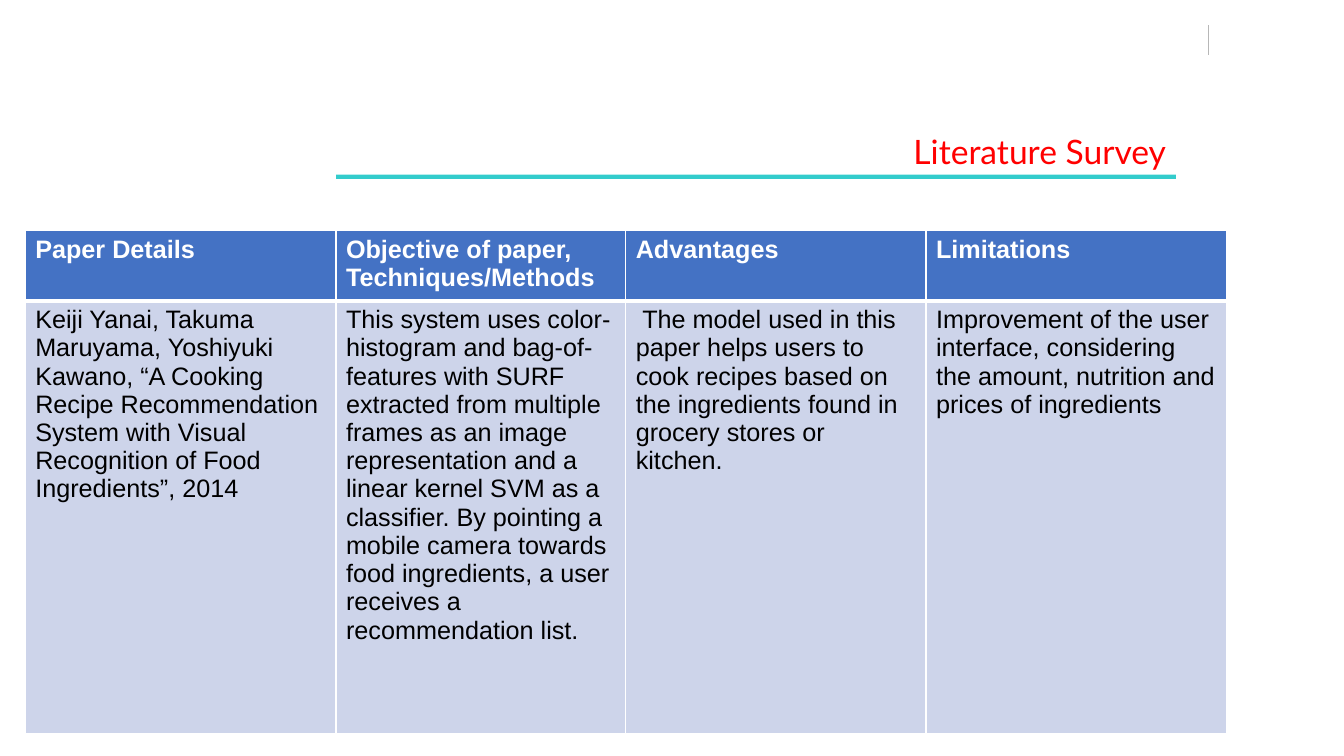
import pptx
import pptx.util
import pptx.dml.color
import pptx.enum.shapes
import pptx.enum.text
import pptx.oxml
import pptx.oxml.ns

RGBColor = pptx.dml.color.RGBColor
WHITE = RGBColor(0xFF, 0xFF, 0xFF)
BLACK = RGBColor(0x00, 0x00, 0x00)
RED = RGBColor(0xFF, 0x00, 0x00)
TEAL = RGBColor(0x33, 0xCC, 0xCC)
GREY = RGBColor(0xB7, 0xB7, 0xB7)
BLUE = RGBColor(0x44, 0x72, 0xC4)
PALE_BLUE = RGBColor(0xCD, 0xD4, 0xEA)

# The slide is a grid of 160 columns by 90 rows of square units.
COLUMNS, ROWS = 160, 90
UNIT = pptx.util.Inches(7.5) / ROWS

TITLE_FONT = {"name": "Lato", "size": pptx.util.Pt(24), "bold": False}
HEADER_FONT = {"name": "Arial", "size": pptx.util.Pt(18), "bold": True}
BODY_FONT = {**HEADER_FONT, "bold": False}

COLUMN_WIDTHS = (37, 34.5, 35.75, 35.75)
ROW_HEIGHTS = (8.4, 51.5)
SURVEY = (
    ("Paper Details", "Objective of paper, Techniques/Methods",
     "Advantages", "Limitations"),
    ("Keiji Yanai, Takuma Maruyama, Yoshiyuki Kawano, “A Cooking Recipe "
     "Recommendation System with Visual Recognition of Food Ingredients”, 2014",
     "This system uses color-histogram and bag-of-features with SURF extracted "
     "from multiple frames as an image representation and a linear kernel SVM "
     "as a classifier. By pointing a mobile camera towards food ingredients, "
     "a user receives a recommendation list.",
     " The model used in this paper helps users to cook recipes based on the "
     "ingredients found in grocery stores or kitchen.",
     "Improvement of the user interface, considering the amount, nutrition "
     "and prices of ingredients"),
)


def units(*counts):
    return [pptx.util.Emu(round(n * UNIT)) for n in counts]


def format_run(r, values, color):
    for name, value in values.items():
        setattr(r.font, name, value)
    r.font.color.rgb = color


def set_borders(cell, widths):
    """Draw white cell borders; widths maps L, R, T and B to points."""
    tcPr = cell._tc.get_or_add_tcPr()
    for i, (side, width) in enumerate(widths.items()):
        tcPr.insert(i, pptx.oxml.parse_xml(
            f'<a:ln{side} {pptx.oxml.ns.nsdecls("a")} w="{pptx.util.Pt(width)}">'
            f'<a:solidFill><a:srgbClr val="{WHITE}"/></a:solidFill></a:ln{side}>'))


def add_corner_mark(s, x, y, height):
    line = s.shapes.add_connector(
        pptx.enum.shapes.MSO_CONNECTOR.STRAIGHT, *units(x, y, x, y + height))
    line.line.color.rgb = GREY
    line.line.width = pptx.util.Pt(0.75)
    line._element.spPr.append(
        pptx.oxml.parse_xml(f'<a:effectLst {pptx.oxml.ns.nsdecls("a")}/>'))


def add_heading(s, x, y, width, height):
    """Place the title at the right of the box, above a full-width rule."""
    rule = s.shapes.add_shape(
        pptx.enum.shapes.MSO_SHAPE.RECTANGLE,
        *units(x, y + height - 0.2, width, 0.5))
    rule.shadow.inherit = False
    rule.fill.solid()
    rule.fill.fore_color.rgb = TEAL
    rule.line.fill.background()

    title = s.shapes.title
    inset = 0.15 * width
    title.left, title.top, title.width, title.height = units(
        x + inset, y, width - inset, height)
    tf = title.text_frame
    tf.auto_size = pptx.enum.text.MSO_AUTO_SIZE.NONE
    tf.vertical_anchor = pptx.enum.text.MSO_ANCHOR.MIDDLE
    p = tf.paragraphs[0]
    p.alignment = pptx.enum.text.PP_ALIGN.RIGHT
    r = p.add_run()
    r.text = "Literature Survey"
    format_run(r, TITLE_FONT, RED)


def add_survey_table(s, x, y):
    table = s.shapes.add_table(
        len(SURVEY), len(COLUMN_WIDTHS),
        *units(x, y, sum(COLUMN_WIDTHS), sum(ROW_HEIGHTS))).table
    table.horz_banding = False
    for column, width in zip(table.columns, units(*COLUMN_WIDTHS)):
        column.width = width
    for row, height in zip(table.rows, units(*ROW_HEIGHTS)):
        row.height = height

    styles = ((HEADER_FONT, WHITE, BLUE, 1, 3), (BODY_FONT, BLACK, PALE_BLUE, 3, 1))
    for row, texts, style in zip(table.rows, SURVEY, styles):
        font, color, fill, top, bottom = style
        for cell, text in zip(row.cells, texts):
            cell.fill.solid()
            cell.fill.fore_color.rgb = fill
            set_borders(cell, {"L": 1, "R": 1, "T": top, "B": bottom})
            r = cell.text_frame.paragraphs[0].add_run()
            r.text = text
            format_run(r, font, color)


def main():
    prs = pptx.Presentation()
    prs.slide_width, prs.slide_height = units(COLUMNS, ROWS)
    s = prs.slides.add_slide(prs.slide_layouts.get_by_name("Title Only"))
    add_corner_mark(s, 143.9, 3, 3.6)
    add_heading(s, 40, 15, 100, 6)
    add_survey_table(s, 3, 27.4)
    prs.save("out.pptx")


if __name__ == "__main__":
    main()
